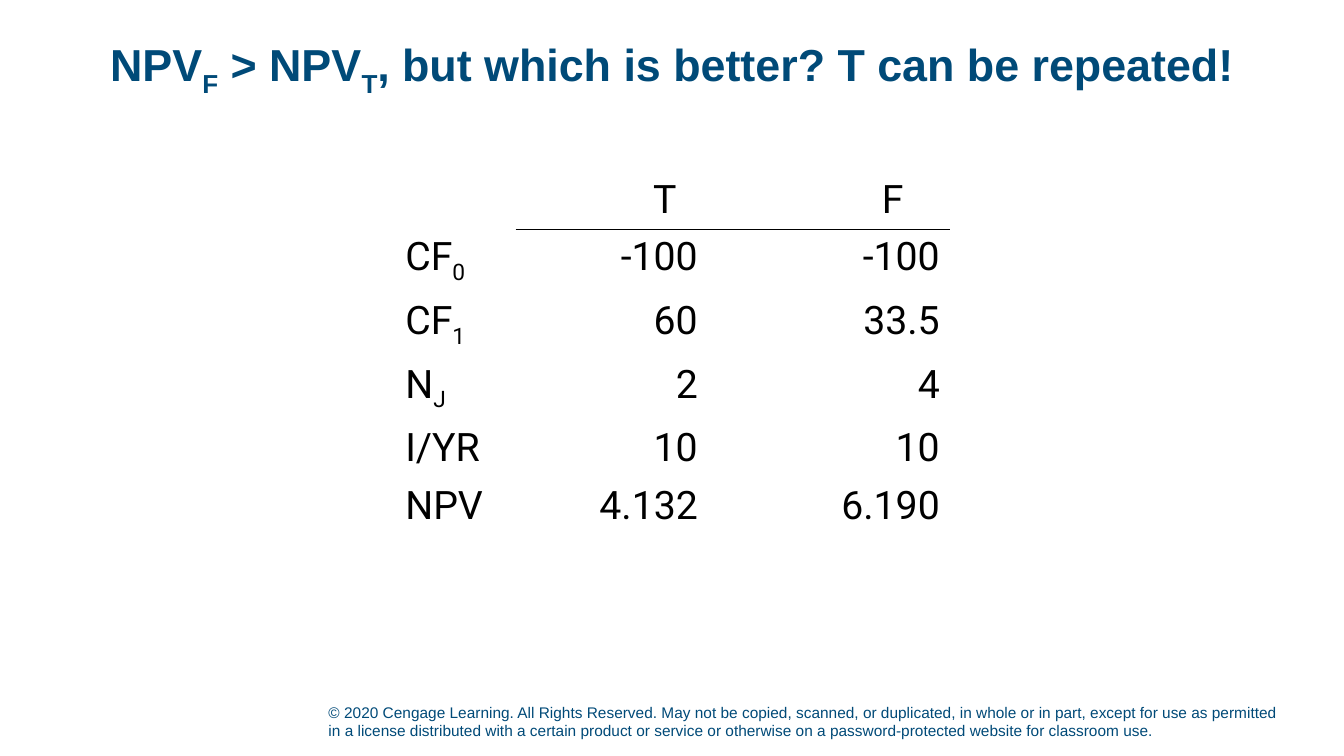
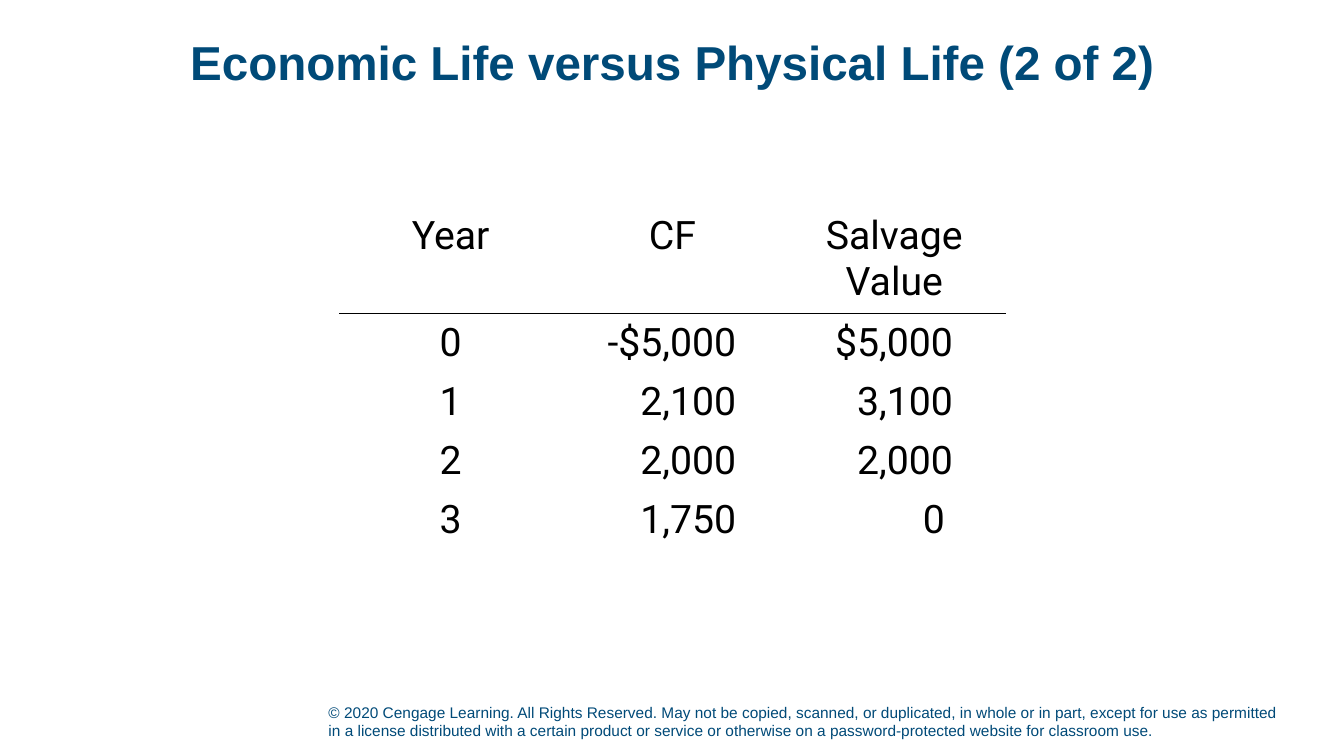
from lxml import etree
from pptx import Presentation
from pptx.dml.color import RGBColor
from pptx.enum.text import MSO_ANCHOR as Anchor, PP_ALIGN as Align
from pptx.oxml import parse_xml
from pptx.oxml.ns import nsdecls, qn
from pptx.util import Inches, Pt

NAVY = RGBColor(0x00, 0x4A, 0x78)
BLACK = RGBColor(0, 0, 0)
TITLE = {"name": "Arial", "size": Pt(34), "bold": True}
NOTICE = {"name": "Arial", "size": Pt(11)}
BODY = {"name": "Roboto", "size": Pt(28)}
RIGHTS = (
    "© 2020 Cengage Learning. All Rights Reserved. May not be copied, scanned, "
    "or duplicated, in whole or in part, except for use as permitted in a license "
    "distributed with a certain product or service or otherwise on a "
    "password-protected website for classroom use."
)


def write(frame, text, style, color, align=Align.LEFT):
    para = frame.paragraphs[0]
    para.alignment = align
    for i, part in enumerate(text.split("_")):
        if not part:
            continue
        run = para.add_run()
        run.text = part
        for key, value in style.items():
            setattr(run.font, key, value)
        run.font.color.rgb = color
        if i % 2:
            run.font._element.set("baseline", "-25000")
    return para


def add_text(slide, box, text, style, anchor, align=Align.LEFT):
    frame = slide.shapes.add_textbox(*map(Inches, box)).text_frame
    frame.word_wrap = True
    frame.vertical_anchor = anchor
    return write(frame, text, style, NAVY, align)


def add_page(deck, title, size):
    slide = deck.slides.add_slide(deck.slide_layouts[6])
    add_text(slide, (3.16, 6.89, 9.63, 0.5), RIGHTS, NOTICE, Anchor.BOTTOM)
    style = {**TITLE, "size": Pt(size)}
    para = add_text(slide, (0.92, 0.15, 11.5, 1), title, style, Anchor.MIDDLE, Align.CENTER)
    para.line_spacing = 0.9
    return slide


def rule(cell, side):
    line = parse_xml(f'<a:{side} {nsdecls("a")} w="12700"/>')
    fill = etree.SubElement(line, qn("a:solidFill"))
    etree.SubElement(fill, qn("a:srgbClr")).set("val", str(BLACK))
    cell._tc.get_or_add_tcPr().insert(0, line)


def add_grid(slide, spot, cols, rows, data, pad, place):
    size = (sum(cols), sum(rows))
    box = map(Inches, spot + size)
    table = slide.shapes.add_table(len(rows), len(cols), *box).table
    table.first_row = table.horz_banding = False
    for col, width in zip(table.columns, cols):
        col.width = Inches(width)
    for row, height in zip(table.rows, rows):
        row.height = Inches(height)
    for r, line in enumerate(data):
        for c, text in enumerate(line):
            cell = table.cell(r, c)
            align, gap = place(r, c)
            edges = {"left": pad[0], "right": gap, "top": pad[1], "bottom": pad[1]}
            for side, value in edges.items():
                setattr(cell, f"margin_{side}", Inches(value))
            cell.fill.background()
            write(cell.text_frame, text, BODY, BLACK, align)
            if r < 2 and data[0][c]:
                rule(cell, "lnT" if r else "lnB")


def place_flow(r, c):
    if c == 0:
        return Align.LEFT, 0.1
    return Align.RIGHT, 0.1 if r else (0, 0.31, 0.46)[c]


def place_life(r, c):
    if r == 0 or c == 0:
        return Align.CENTER, 0.11
    if (r, c) == (4, 2):
        return Align.RIGHT, 0.6
    return Align.RIGHT, (0, 0.47, 0.52)[c]


def main():
    deck = Presentation()
    deck.slide_width, deck.slide_height = Inches(13.33), Inches(7.5)

    slide = add_page(deck, "NPV_F_ > NPV_T_, but which is better? T can be repeated!", 32)
    flows = [
        ("", "T", "F"),
        ("CF_0_", "-100", "-100"),
        ("CF_1_", "60", "33.5"),
        ("N_J_", "2", "4"),
        ("I/YR", "10", "10"),
        ("NPV", "4.132", "6.190"),
    ]
    rows = (0.55, 0.63, 0.61, 0.61, 0.55, 0.55)
    add_grid(slide, (3.92, 1.71), (1.2, 1.9, 2.4), rows, flows, (0.1, 0.05), place_flow)

    slide = add_page(deck, "Economic Life versus Physical Life (2 of 2)", 34)
    lives = [
        ("Year", "CF", "Salvage Value"),
        ("0", "-$5,000", "$5,000"),
        ("1", "2,100", "3,100"),
        ("2", "2,000", "2,000"),
        ("3", "1,750", "0"),
    ]
    rows = (1.03,) + (0.57,) * 4
    add_grid(slide, (3.37, 2.06), (2.2,) * 3, rows, lives, (0.11, 0.06), place_life)

    deck.save("out.pptx")


if __name__ == "__main__":
    main()
